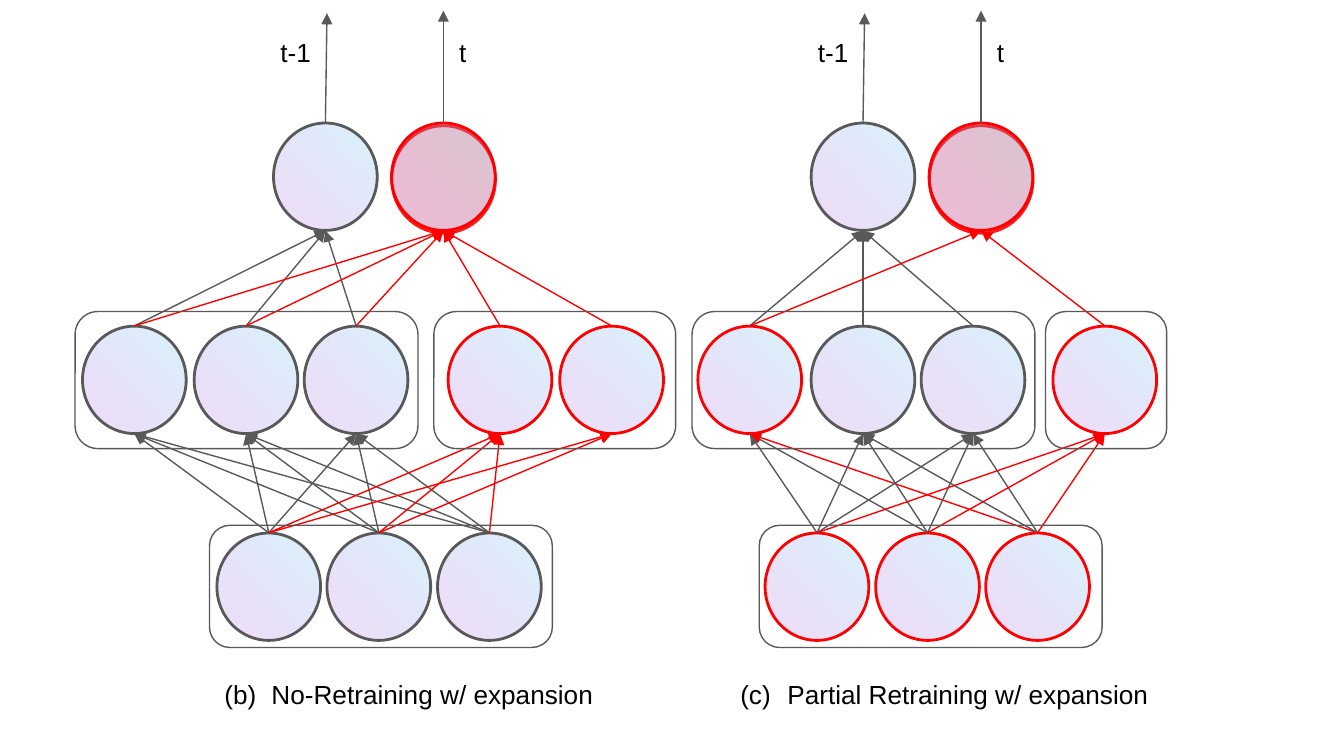
from dataclasses import dataclass
from typing import Any

from lxml.etree import SubElement as Sub
from pptx import Presentation
from pptx.dml.color import RGBColor as Rgb
from pptx.enum.shapes import MSO_CONNECTOR as Wire, MSO_SHAPE as Form
from pptx.enum.text import MSO_ANCHOR as Anchor, MSO_AUTO_SIZE as Fit
from pptx.oxml.ns import qn
from pptx.util import Cm, Pt

HUES = {"g": "595959", "r": "FF0000", "sky": "69D4F4", "plum": "9F39D5", "text": "000000"}
WIDE, TALL, REACH = 1.96, 2.03, 1.02
TOP, MID, LOW = 3.34, 7.18, 11.09


@dataclass
class Node:
    x: float
    ink: str
    feeds: str = ""  


@dataclass
class Box:
    x: float
    y: float
    w: float
    h: float


@dataclass
class Net:
    low: list[Node]
    mid: list[Node]
    top: list[Node]
    boxes: list[Box]
    title: str
    area: Box
    start: int


def hue(key: str) -> Rgb:
    return Rgb.from_string(HUES[key])


def span(box: Box) -> tuple:
    return Cm(box.x), Cm(box.y), Cm(box.w), Cm(box.h)


def stroke(item: Any, ink: str, size: float) -> None:
    item.line.color.rgb = hue(ink)
    item.line.width = Pt(size)


def draw_node(slide: Any, node: Node, y: float, glow: bool = False) -> None:
    area = Box(node.x - TALL / 2, y - WIDE / 2, TALL, WIDE)
    disc = slide.shapes.add_shape(Form.OVAL, *span(area))
    disc.rotation = 270
    disc.shadow.inherit = False
    disc.fill.gradient()
    disc.fill.gradient_angle = 135
    marks = ((0, "sky", 26), (1, "plum", 17))
    for stop, (place, key, alpha) in zip(disc.fill.gradient_stops, marks):
        stop.position = place
        stop.color.rgb = hue(key)
    for tint, (_, _, alpha) in zip(disc._element.spPr.iter(qn("a:srgbClr")), marks):
        Sub(tint, qn("a:alpha"), val=str(alpha * 1000))
    stroke(disc, node.ink, 1.5)
    if glow:
        effect = disc._element.spPr.find(qn("a:effectLst"))
        shade = Sub(effect, qn("a:outerShdw"), blurRad="0", dist=str(Pt(1.5)),
                    dir=str(85 * 60000), algn="bl", rotWithShape="0")
        tint = Sub(shade, qn("a:srgbClr"), val=HUES["r"])
        Sub(tint, qn("a:alpha"), val="89000")


def draw_arrow(slide: Any, x: float, y: float, to_x: float, to_y: float, ink: str) -> None:
    arrow = slide.shapes.add_connector(Wire.STRAIGHT, Cm(x), Cm(y), Cm(to_x), Cm(to_y))
    stroke(arrow, ink, 0.75)
    Sub(arrow.line._get_or_add_ln(), qn("a:tailEnd"), type="triangle")
    Sub(arrow._element.spPr, qn("a:effectLst"))


def draw_links(slide: Any, lower: list[Node], upper: list[Node], y: float, to_y: float) -> None:
    for goal in upper:
        for node, ink in zip(lower, goal.feeds):
            if ink != "-":
                draw_arrow(slide, node.x, y - REACH, goal.x, to_y + REACH, ink)


def draw_box(slide: Any, box: Box) -> None:
    frame = slide.shapes.add_shape(Form.ROUNDED_RECTANGLE, *span(box))
    frame.shadow.inherit = False
    frame.fill.background()
    stroke(frame, "g", 0.75)


def write(shape: Any, text: str) -> Any:
    frame = shape.text_frame
    frame.word_wrap = True
    frame.auto_size = Fit.SHAPE_TO_FIT_TEXT
    frame.vertical_anchor = Anchor.TOP
    frame.margin_left = frame.margin_right = Cm(0.25)
    frame.margin_top = frame.margin_bottom = Cm(0.25)
    para = frame.paragraphs[0]
    para.space_before = Pt(0)
    run = para.add_run()
    run.text = text
    run.font.name = "Arial"
    run.font.size = Pt(14)
    run.font.color.rgb = hue("text")
    return para


def write_title(holder: Any, net: Net) -> None:
    holder.left, holder.top, holder.width, holder.height = span(net.area)
    props = write(holder, net.title)._p.get_or_add_pPr()
    props.set("marL", str(Cm(1.27)))
    props.set("indent", str(Cm(-0.89)))
    Sub(Sub(props, qn("a:buClr")), qn("a:srgbClr"), val=HUES["text"])
    Sub(props, qn("a:buFont"), typeface="Arial")
    Sub(props, qn("a:buAutoNum"), type="alphaLcParenBoth", startAt=str(net.start))


def draw_net(slide: Any, net: Net) -> None:
    for row, y in ((net.low, LOW), (net.mid, MID), (net.top, TOP)):
        for node in row:
            draw_node(slide, node, y, y == TOP and node.ink == "r")
    draw_links(slide, net.low, net.mid, LOW, MID)
    draw_links(slide, net.mid, net.top, MID, TOP)
    for box in net.boxes:
        draw_box(slide, box)
    outs = (("t-1", -1.1, 1.24, 0.03, 0.25), ("t", 0.05, 0.58, 0, 0.2))
    for node, (text, shift, wide, lean, tip) in zip(net.top, outs):
        draw_arrow(slide, node.x, TOP - REACH, node.x + lean, tip, "g")
        area = Box(node.x + shift, 0.43, wide, 1.12)
        write(slide.shapes.add_textbox(*span(area)), text)


NETS = [
    Net(
        low=[Node(x, "g") for x in (5.08, 7.16, 9.25)],
        mid=[Node(2.54, "g", "ggg"), Node(4.65, "g", "ggg"), Node(6.73, "g", "ggg"),
             Node(9.45, "r", "rrr"), Node(11.56, "r", "rr-")],
        top=[Node(6.15, "g", "ggg--"), Node(8.38, "r", "rrrrr")],
        boxes=[Box(1.42, 5.89, 6.48, 2.59), Box(8.2, 5.89, 4.57, 2.59),
               Box(3.96, 9.93, 6.48, 2.31)],
        title="No-Retraining w/ expansion",
        area=Box(3.61, 12.57, 8.05, 1.12),
        start=2,
    ),
    Net(
        low=[Node(x, "r") for x in (15.44, 17.53, 19.61)],
        mid=[Node(14.17, "r", "ggr"), Node(16.31, "g", "ggg"), Node(18.39, "g", "ggg"),
             Node(20.88, "r", "rrr")],
        top=[Node(16.31, "g", "ggg-"), Node(18.54, "r", "r--r")],
        boxes=[Box(13.08, 5.89, 6.48, 2.59), Box(19.76, 5.89, 2.29, 2.59),
               Box(14.35, 9.93, 6.48, 2.31)],
        title="Partial Retraining w/ expansion",
        area=Box(13.36, 12.57, 8.71, 1.12),
        start=3,
    ),
]


def main() -> None:
    deck = Presentation()
    deck.slide_width, deck.slide_height = Cm(25.4), Cm(14.29)
    slide = deck.slides.add_slide(deck.slide_layouts[3])
    head = slide.shapes.title._element
    head.getparent().remove(head)
    for holder, net in zip(list(slide.placeholders), NETS):
        write_title(holder, net)
        draw_net(slide, net)
    deck.save("out.pptx")


if __name__ == "__main__":
    main()
